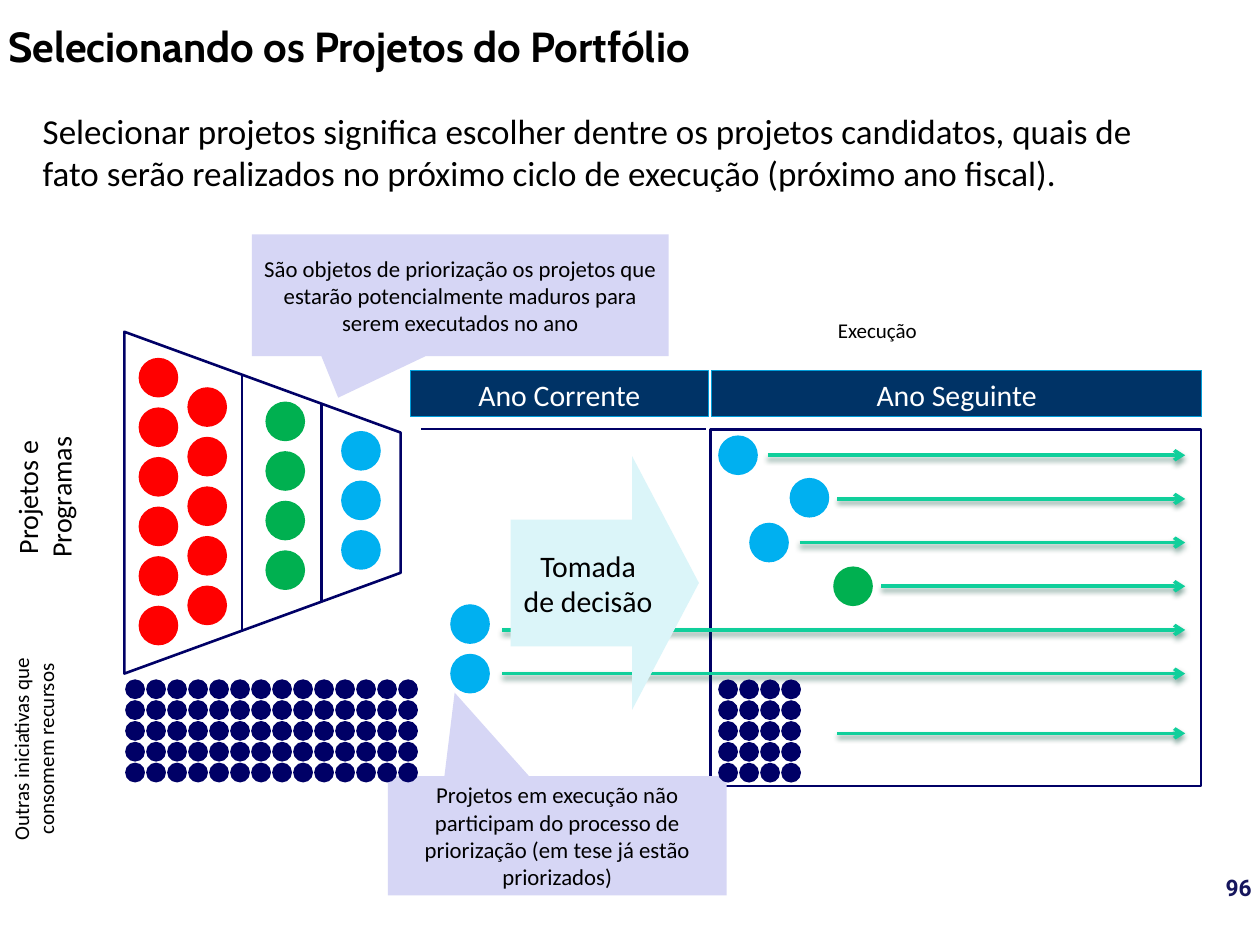
import pptx
import pptx.util
import pptx.dml.color
import pptx.enum.shapes
import pptx.enum.text
import pptx.oxml
import pptx.oxml.ns

Pt = pptx.util.Pt
SHAPE = pptx.enum.shapes.MSO_SHAPE
ALIGN = pptx.enum.text.PP_ALIGN
ANCHOR = pptx.enum.text.MSO_ANCHOR

COLORS = {
    "black": "000000", "white": "FFFFFF", "navy": "000066", "header": "003366",
    "header_edge": "009DD9", "lavender": "D6D6F5", "ice": "DBF5F9", "lane": "10CF9B",
    "lane_shadow": "044A37", "red": "FF0000", "green": "00B050", "blue": "00B0F0",
    "number": "16165D",
}
PROJECT_SIZE = 34
PROJECT_STEP = 42.5
INITIATIVE_SIZE = 17
INITIATIVE_STEP = (18, 17.85)
WIDE = (10.8, 5.4)
NORMAL = (7.2, 3.6)


def rgb(name):
    return pptx.dml.color.RGBColor.from_string(COLORS[name])


def write(shape, text, size, color="black", font="Calibri", bold=False,
          align=ALIGN.CENTER, anchor=ANCHOR.TOP, inset=WIDE):
    frame = shape.text_frame
    across, down = inset
    settings = {"word_wrap": True, "vertical_anchor": anchor,
                "margin_left": Pt(across), "margin_right": Pt(across),
                "margin_top": Pt(down), "margin_bottom": Pt(down)}
    for name, value in settings.items():
        setattr(frame, name, value)
    para = frame.paragraphs[0]
    para.alignment = align
    span = para.add_run()
    span.text = text
    for name, value in {"name": font, "size": Pt(size), "bold": bold}.items():
        setattr(span.font, name, value)
    span.font.color.rgb = rgb(color)


def label(page, box, text, size, rotation=0, **format_values):
    shape = page.shapes.add_textbox(*map(Pt, box))
    shape.rotation = rotation
    write(shape, text, size, **format_values)


def paint(shape, fill=None, edge=None, edge_width=2.25):
    shape.shadow.inherit = False
    if fill:
        shape.fill.solid()
        shape.fill.fore_color.rgb = rgb(fill)
    else:
        shape.fill.background()
    if edge:
        shape.line.color.rgb = rgb(edge)
        shape.line.width = Pt(edge_width)
    else:
        shape.line.fill.background()


def block(page, kind, box, adjustments=(), **colors):
    shape = page.shapes.add_shape(kind, *map(Pt, box))
    for index, value in enumerate(adjustments):
        shape.adjustments[index] = value
    paint(shape, **colors)
    return shape


def dot(page, left, top, color, size=PROJECT_SIZE):
    block(page, SHAPE.OVAL, (left, top, size, size), fill=color)


def line(page, start, end, color="navy", width=2.25):
    connector = page.shapes.add_connector(
        pptx.enum.shapes.MSO_CONNECTOR.STRAIGHT, *map(Pt, start + end))
    connector.line.color.rgb = rgb(color)
    connector.line.width = Pt(width)
    properties = connector._element.spPr
    effects = pptx.oxml.parse_xml(f'<a:effectLst {pptx.oxml.ns.nsdecls("a")}/>')
    properties.append(effects)
    return connector, effects


def lane_arrow(page, start, end):
    """Green arrow with a soft shadow below it."""
    connector, effects = line(page, start, end, "lane", 3)
    namespace = pptx.oxml.ns.nsdecls("a")
    connector.line._get_or_add_ln().append(
        pptx.oxml.parse_xml(f'<a:tailEnd {namespace} type="arrow"/>'))
    effects.append(pptx.oxml.parse_xml(
        f'<a:outerShdw {namespace} blurRad="{Pt(4.5)}" dist="{Pt(3)}" dir="5400000"'
        f' rotWithShape="0"><a:srgbClr val="{COLORS["lane_shadow"]}">'
        '<a:alpha val="48000"/></a:srgbClr></a:outerShdw>'))


def callout(page, box, tip, text):
    shape = block(page, SHAPE.RECTANGULAR_CALLOUT, box, tip, fill="lavender")
    write(shape, text, 19.5, anchor=ANCHOR.MIDDLE, inset=(10, 5))


def header(page, box, text):
    shape = block(page, SHAPE.RECTANGLE, box, fill="header", edge="header_edge",
                  edge_width=0.75)
    write(shape, text, 25.5, "white")


def funnel(page, box):
    """Narrowing outline, its two dividers and the columns of candidate projects."""
    left, top, width, height = box
    narrowing = 86.4
    right, bottom = left + width, top + height
    builder = page.shapes.build_freeform(Pt(left), Pt(top))
    builder.add_line_segments([tuple(map(Pt, point)) for point in (
        (right, top + narrowing), (right, bottom - narrowing), (left, bottom))])
    paint(builder.convert_to_shape(), edge="navy")
    for across, start, end in ((100.8, 38.2, 255.6), (169.2, 61.2, 230.4)):
        line(page, (left + across, top + start), (left + across, top + end))
    columns = ((12.2, 22.3, 6, "red"), (54, 47.5, 5, "red"),
               (120.9, 59.8, 4, "green"), (185.8, 85, 3, "blue"))
    for across, down, count, color in columns:
        for row in range(count):
            dot(page, left + across, top + down + row * PROJECT_STEP, color)


def initiatives(page, left, top, columns, rows=5):
    across, down = INITIATIVE_STEP
    for column in range(columns):
        for row in range(rows):
            dot(page, left + column * across, top + row * down, "navy", INITIATIVE_SIZE)


def lanes(page, box):
    """Projects under way, each with an arrow to the end of the next year."""
    left, top, width, _ = box
    end = left + width - 13.7
    first, step = 22.3, 37.44
    projects = (("blue", 6.5, 49, 0), ("blue", 67.7, 108.7, -1), ("blue", 33.1, 76.3, 0),
                ("green", 105.1, 146.2, 0), ("blue", -223.2, -178.5, -5),
                ("blue", -223.2, -178.5, 0))
    for row, (color, across, start, shift) in enumerate(projects):
        height = top + first + row * step
        lane_arrow(page, (left + start, height), (end, height))
        dot(page, left + across, height + shift - PROJECT_SIZE / 2, color)
    initiatives(page, left + 6.5, top + 214.5, 4)
    lane_arrow(page, (left + 108.7, top + 260.7), (end, top + 260.7))


def headings(page, box):
    left, top, width, height = box
    label(page, (left, top, 744.5, 51), "Selecionando os Projetos do Portfólio", 36,
          font="Cabin", bold=True, align=ALIGN.LEFT, inset=NORMAL)
    label(page, (left + 29.5, top + 77, 995, 80),
          "Selecionar projetos significa escolher dentre os projetos candidatos, quais de "
          "fato serão realizados no próximo ciclo de execução (próximo ano fiscal).",
          30, align=ALIGN.LEFT, inset=NORMAL)


def main():
    deck = pptx.Presentation()
    deck.slide_width, deck.slide_height = Pt(1080), Pt(810)
    page = deck.slides.add_slide(deck.slide_layouts[6])
    next_year = (609.1, 367.9, 420.5, 306)

    headings(page, (0, 13.7, 1080, 157))
    label(page, (956.2, 745.2, 123.8, 31), "96", 19.5, color="number", font="Roboto",
          bold=True, align=ALIGN.RIGHT, inset=NORMAL)
    label(page, (-42.5, 382.3, 179.3, 87.8), "Projetos e Programas", 24, rotation=270)
    label(page, (-53.3, 607, 179.3, 69.8), "Outras iniciativas que consomem recursos", 18,
          rotation=270)
    label(page, (632.9, 266.4, 238.3, 39.6), "Execução", 18)

    block(page, SHAPE.RECTANGLE, next_year, edge="navy")
    header(page, (352, 317.5, 255, 39.6), "Ano Corrente")
    header(page, (609.8, 317.5, 420.5, 39.6), "Ano Seguinte")
    line(page, (360.7, 367.9), (605.5, 367.9))
    callout(page, (332.6, 665.3, 290.2, 102.2), (-0.303, -1.201),
            "Projetos em execução não participam do processo de priorização "
            "(em tese já estão priorizados)")
    funnel(page, (106.6, 284.4, 236.8, 293))
    initiatives(page, 107.3, 582.3, 14)
    lanes(page, next_year)
    decision = block(page, SHAPE.RIGHT_ARROW, (437.8, 391, 161.3, 217.4), (0.5, 0.355),
                     fill="ice")
    write(decision, "Tomada de decisão", 25.5, anchor=ANCHOR.MIDDLE)
    callout(page, (216, 200.9, 357.1, 104.4), (-0.293, 0.841),
            "São objetos de priorização os projetos que estarão potencialmente maduros "
            "para serem executados no ano")
    deck.save("out.pptx")


if __name__ == "__main__":
    main()
